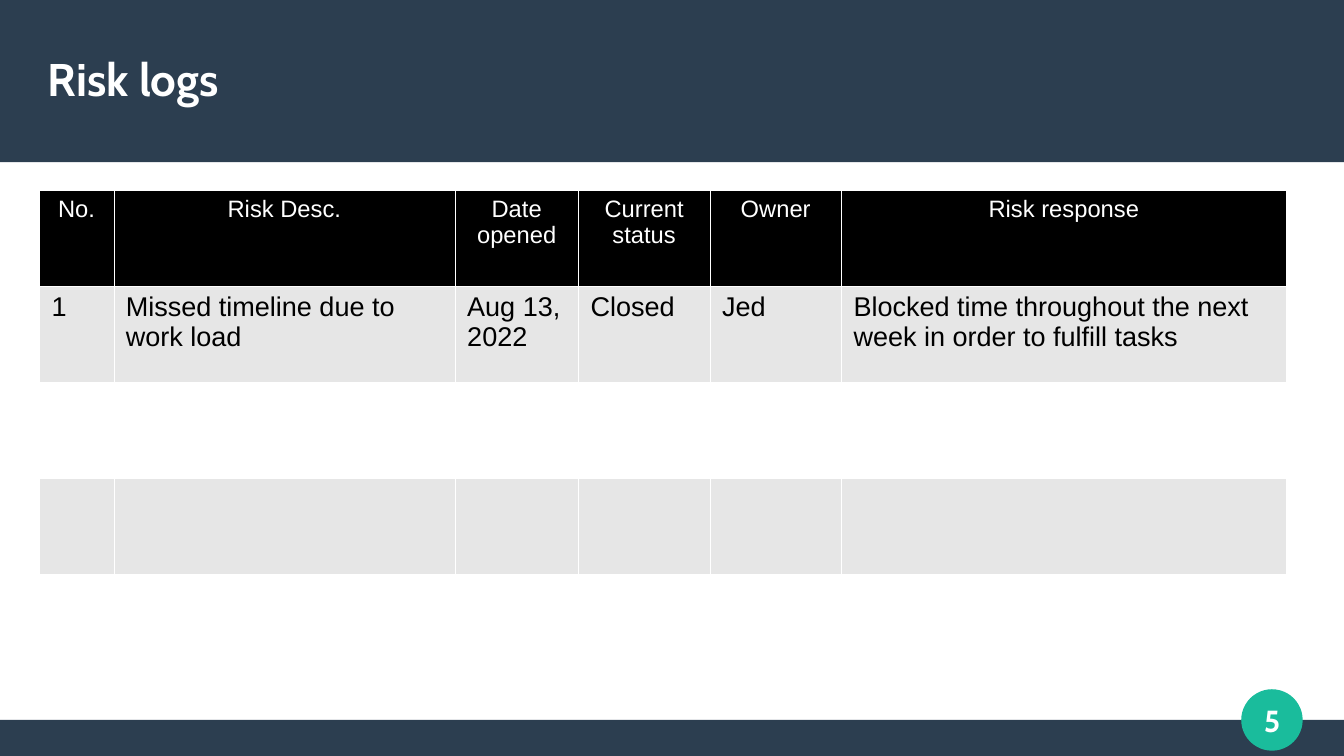
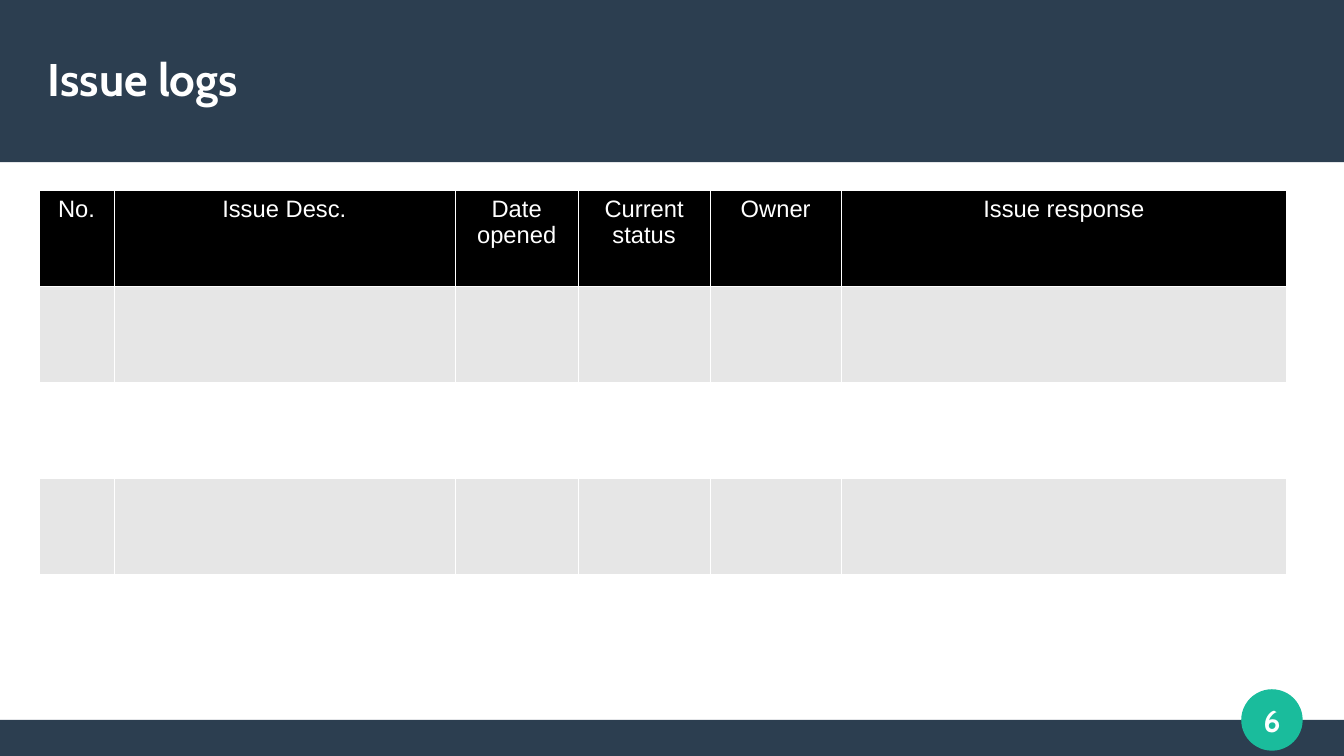
from lxml import etree
from pptx import Presentation
from pptx import util as u
from pptx.dml.color import RGBColor
from pptx.enum import shapes, text
from pptx.oxml.ns import qn

LOGS = [
    {"title": "Risk logs", "number": 5, "subject": "Risk",
     "entries": [("1", "Missed timeline due to work load", "Aug 13, 2022", "Closed", "Jed",
                  "Blocked time throughout the next week in order to fulfill tasks")]},
    {"title": "Issue logs", "number": 6, "subject": "Issue", "entries": []},
]
HEADINGS = ("No.", "{} Desc.", "Date opened", "Current status", "Owner", "{} response")

NAVY, GREEN, WHITE, BLACK, GREY = "2C3E50", "1ABC9C", "FFFFFF", "000000", "E6E6E6"
WIDTH, HEIGHT = 28, 15.75
HEADER_HEIGHT, FOOTER_HEIGHT = 3.38, 0.75
BADGE_CENTRE, BADGE_SIZE = (26.5, 15), 1.25
NUMBER_SIZE = (2, 1.5)
TITLE_BOX = (1, 0.63, 26, 2)
TABLE_LEFT, TABLE_TOP = 0.82, 3.95
COLUMN_WIDTHS = (1.55, 7.11, 2.57, 2.74, 2.74, 9.27)
ROW_COUNT, ROW_HEIGHT = 5, 2
BORDER_WIDTH = 0.06

TITLE = {"name": "Cabin", "size": u.Pt(27), "bold": True, "color": WHITE}
NUMBER = TITLE | {"size": u.Pt(18)}
HEADING = {"name": "Arial", "size": u.Pt(14), "bold": False, "color": WHITE}
ENTRY = HEADING | {"size": u.Pt(16), "color": BLACK}
LEFT, CENTRE = text.PP_ALIGN.LEFT, text.PP_ALIGN.CENTER


def lengths(*values):
    return [u.Cm(value) for value in values]


def paint(color_format, colour):
    color_format.rgb = RGBColor.from_string(colour)


def fill_solid(target, colour):
    target.fill.solid()
    paint(target.fill.fore_color, colour)


def write(frame, words, style, alignment):
    paragraph = frame.paragraphs[0]
    paragraph.alignment = alignment
    run = paragraph.add_run()
    run.text = words
    for attribute, value in style.items():
        if attribute == "color":
            paint(run.font.color, value)
        else:
            setattr(run.font, attribute, value)


def add_block(slide, kind, box, colour, line_width=0):
    shape = slide.shapes.add_shape(kind, *lengths(*box))
    shape.shadow.inherit = False
    fill_solid(shape, colour)
    if line_width:
        paint(shape.line.color, colour)
        shape.line.width = u.Pt(line_width)
    else:
        shape.line.fill.background()


def add_label(slide, box, words, style, alignment):
    frame = slide.shapes.add_textbox(*lengths(*box)).text_frame
    settings = {"word_wrap": True, "vertical_anchor": text.MSO_ANCHOR.MIDDLE}
    settings |= dict.fromkeys(("margin_left", "margin_top", "margin_right", "margin_bottom"), 0)
    for attribute, value in settings.items():
        setattr(frame, attribute, value)
    write(frame, words, style, alignment)


def centred(centre, width, height):
    return centre[0] - width / 2, centre[1] - height / 2, width, height


def add_frame(slide, title, number):
    rectangle, oval = shapes.MSO_SHAPE.RECTANGLE, shapes.MSO_SHAPE.OVAL
    add_block(slide, rectangle, (0, HEIGHT - FOOTER_HEIGHT, WIDTH, FOOTER_HEIGHT), NAVY)
    add_block(slide, rectangle, (0, 0, WIDTH, HEADER_HEIGHT), NAVY)
    add_block(slide, oval, centred(BADGE_CENTRE, BADGE_SIZE, BADGE_SIZE), GREEN, 0.85)
    add_label(slide, centred(BADGE_CENTRE, *NUMBER_SIZE), str(number), NUMBER, CENTRE)
    add_label(slide, TITLE_BOX, title, TITLE, LEFT)


def add_borders(cell):
    properties = cell._tc.get_or_add_tcPr()
    for index, side in enumerate(("a:lnL", "a:lnR", "a:lnT", "a:lnB")):
        line = etree.Element(qn(side), w=str(u.Pt(BORDER_WIDTH)))
        solid = etree.SubElement(line, qn("a:solidFill"))
        etree.SubElement(solid, qn("a:srgbClr"), val=WHITE)
        properties.insert(index, line)


def add_log(slide, subject, entries):
    table = slide.shapes.add_table(
        ROW_COUNT, len(COLUMN_WIDTHS),
        *lengths(TABLE_LEFT, TABLE_TOP, sum(COLUMN_WIDTHS), ROW_COUNT * ROW_HEIGHT)).table
    for column, width in zip(table.columns, COLUMN_WIDTHS):
        column.width = u.Cm(width)
    rows = [[heading.format(subject) for heading in HEADINGS], *entries]
    for row_index, row in enumerate(table.rows):
        row.height = u.Cm(ROW_HEIGHT)
        is_heading = row_index == 0
        colour = BLACK if is_heading else (WHITE, GREY)[row_index % 2]
        for cell in row.cells:
            fill_solid(cell, colour)
            add_borders(cell)
        if row_index < len(rows):
            for cell, words in zip(row.cells, rows[row_index]):
                write(cell.text_frame, words, HEADING if is_heading else ENTRY,
                      CENTRE if is_heading else LEFT)


presentation = Presentation()
presentation.slide_width, presentation.slide_height = lengths(WIDTH, HEIGHT)
for log in LOGS:
    slide = presentation.slides.add_slide(presentation.slide_layouts[6])
    add_frame(slide, log["title"], log["number"])
    add_log(slide, log["subject"], log["entries"])
presentation.save("out.pptx")
